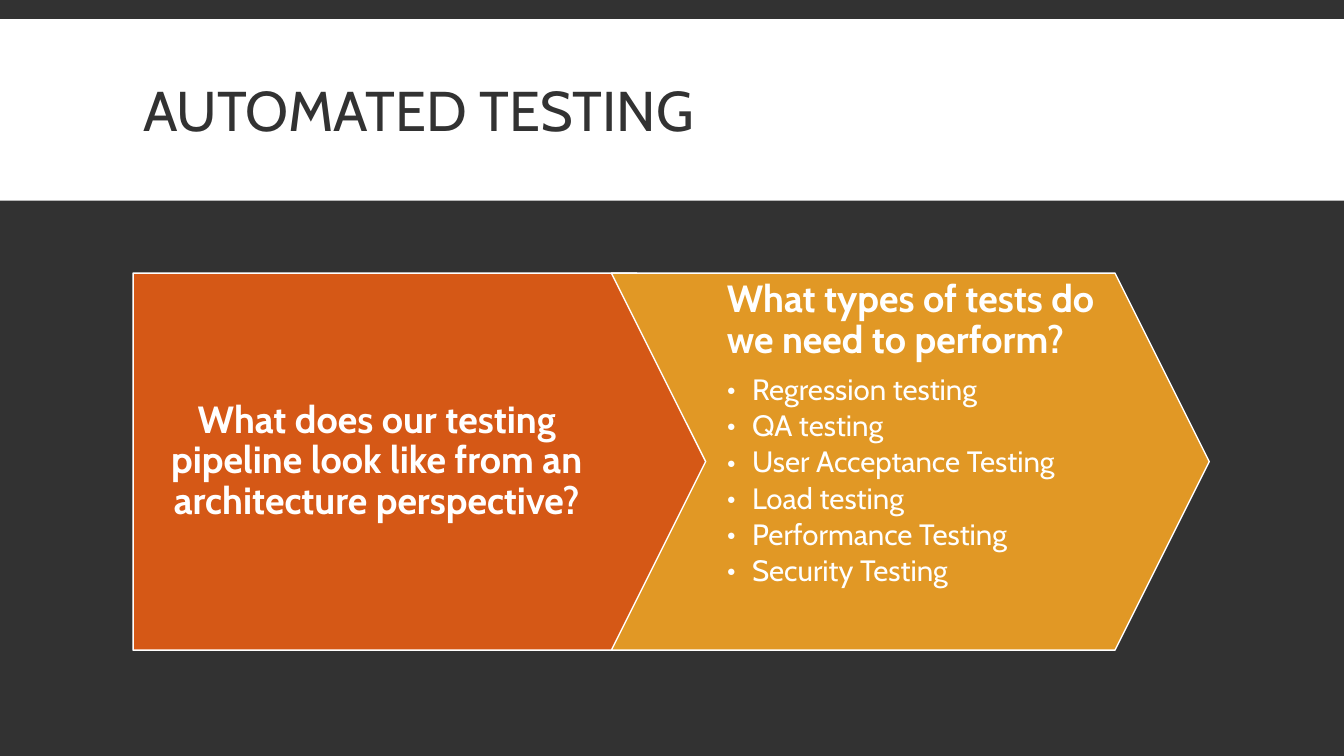
from dataclasses import dataclass

import pptx
import pptx.dml.color
import pptx.enum.shapes
import pptx.enum.text
import pptx.oxml
import pptx.oxml.ns
import pptx.util

Inches = pptx.util.Inches
Pt = pptx.util.Pt
RGBColor = pptx.dml.color.RGBColor
ShapeType = pptx.enum.shapes.MSO_SHAPE
Align = pptx.enum.text.PP_ALIGN
Anchor = pptx.enum.text.MSO_ANCHOR

CHARCOAL = RGBColor(0x32, 0x32, 0x32)
WHITE = RGBColor(0xFF, 0xFF, 0xFF)
ORANGE = RGBColor(0xD5, 0x58, 0x16)
AMBER = RGBColor(0xE1, 0x98, 0x25)

FONT = "Cabin"
SLIDE_WIDTH, SLIDE_HEIGHT = 13.33, 7.5
LEFT, TOP = 1.32, 2.71
ARROW_WIDTH, ARROW_HEIGHT = 5.93, 3.74
ARROW_STEP = 0.8 * ARROW_WIDTH
POINT_DEPTH = 0.25
HEADING_SIZE, BULLET_SIZE = 27, 21
BULLET_INDENT = 0.25


@dataclass(frozen=True)
class Step:
    """One arrow of the process, with its heading and bullets."""
    outline: ShapeType
    fill: RGBColor
    heading: str
    alignment: Align
    anchor: Anchor
    right_inset: float
    bullets: tuple[str, ...] = ()


STEPS = (
    Step(ShapeType.PENTAGON, ORANGE,
         "What does our testing pipeline look like from an architecture perspective?",
         Align.CENTER, Anchor.MIDDLE, 0.84),
    Step(ShapeType.CHEVRON, AMBER, "What types of tests do we need to perform?",
         Align.LEFT, Anchor.TOP, 0.15,
         ("Regression testing", "QA testing", "User Acceptance Testing",
          "Load testing", "Performance Testing", "Security Testing")),
)


def apply_format(target: object, values: dict[str, object]) -> None:
    """Set each named attribute of the target."""
    for name, value in values.items():
        setattr(target, name, value)


def write_paragraph(paragraph, text: str, size: float, color: RGBColor,
                    bold: bool, values: dict[str, object]) -> None:
    """Write one run of text and format its paragraph."""
    run = paragraph.add_run()
    run.text = text
    apply_format(run.font, {"name": FONT, "size": Pt(size), "bold": bold})
    run.font.color.rgb = color
    apply_format(paragraph, values)


def add_bullet(paragraph) -> None:
    """Give a paragraph a round bullet and a hanging indent."""
    properties = paragraph._p.get_or_add_pPr()
    properties.set("marL", str(Inches(BULLET_INDENT)))
    properties.set("indent", str(-Inches(BULLET_INDENT)))
    namespace = pptx.oxml.ns.nsdecls("a")
    for element in (f'<a:buFont {namespace} typeface="{FONT}"/>',
                    f'<a:buChar {namespace} char="\u2022"/>'):
        properties.append(pptx.oxml.parse_xml(element))


def add_band(slide) -> None:
    """Draw the white title band behind everything else."""
    band = slide.shapes.add_shape(ShapeType.RECTANGLE, 0, Inches(0.19),
                                  Inches(SLIDE_WIDTH), Inches(1.8))
    band.shadow.inherit = False
    band.fill.solid()
    band.fill.fore_color.rgb = WHITE
    band.line.fill.background()
    slide.shapes._spTree.insert(2, band._element)


def format_title(slide, text: str) -> None:
    """Place and fill the title placeholder."""
    title = slide.shapes.title
    apply_format(title, {"left": Inches(LEFT), "top": Inches(0.31),
                         "width": Inches(10.7), "height": Inches(1.65)})
    title.text_frame.vertical_anchor = Anchor.MIDDLE
    write_paragraph(title.text_frame.paragraphs[0], text, 40, CHARCOAL, False,
                    {"alignment": Align.LEFT, "line_spacing": 0.85})


def add_step(slide, step: Step, column: int) -> None:
    """Draw one arrow with its text in the given column."""
    shape = slide.shapes.add_shape(
        step.outline, Inches(LEFT + column * ARROW_STEP), Inches(TOP),
        Inches(ARROW_WIDTH), Inches(ARROW_HEIGHT))
    shape.adjustments[0] = POINT_DEPTH
    shape.shadow.inherit = False
    shape.fill.solid()
    shape.fill.fore_color.rgb = step.fill
    shape.line.color.rgb = WHITE
    shape.line.width = Pt(1)

    frame = shape.text_frame
    apply_format(frame, {
        "word_wrap": True, "vertical_anchor": step.anchor,
        "margin_left": Inches(0.21), "margin_right": Inches(step.right_inset),
        "margin_top": Inches(0.07), "margin_bottom": Inches(0.07)})
    spacing = {"alignment": step.alignment, "line_spacing": 0.9}
    write_paragraph(frame.paragraphs[0], step.heading, HEADING_SIZE, WHITE, True,
                    {**spacing, "space_after": Pt(0.35 * HEADING_SIZE)})
    for text in step.bullets:
        paragraph = frame.add_paragraph()
        write_paragraph(paragraph, text, BULLET_SIZE, WHITE, False,
                        {**spacing, "level": 1, "space_after": Pt(0.15 * BULLET_SIZE)})
        add_bullet(paragraph)


def main() -> None:
    """Build and save the slide."""
    presentation = pptx.Presentation()
    apply_format(presentation, {"slide_width": Inches(SLIDE_WIDTH),
                                "slide_height": Inches(SLIDE_HEIGHT)})
    slide = presentation.slides.add_slide(
        presentation.slide_layouts.get_by_name("Title Only"))
    slide.background.fill.solid()
    slide.background.fill.fore_color.rgb = CHARCOAL
    add_band(slide)
    format_title(slide, "AUTOMATED TESTING")
    for column, step in enumerate(STEPS):
        add_step(slide, step, column)
    presentation.save("out.pptx")


main()
